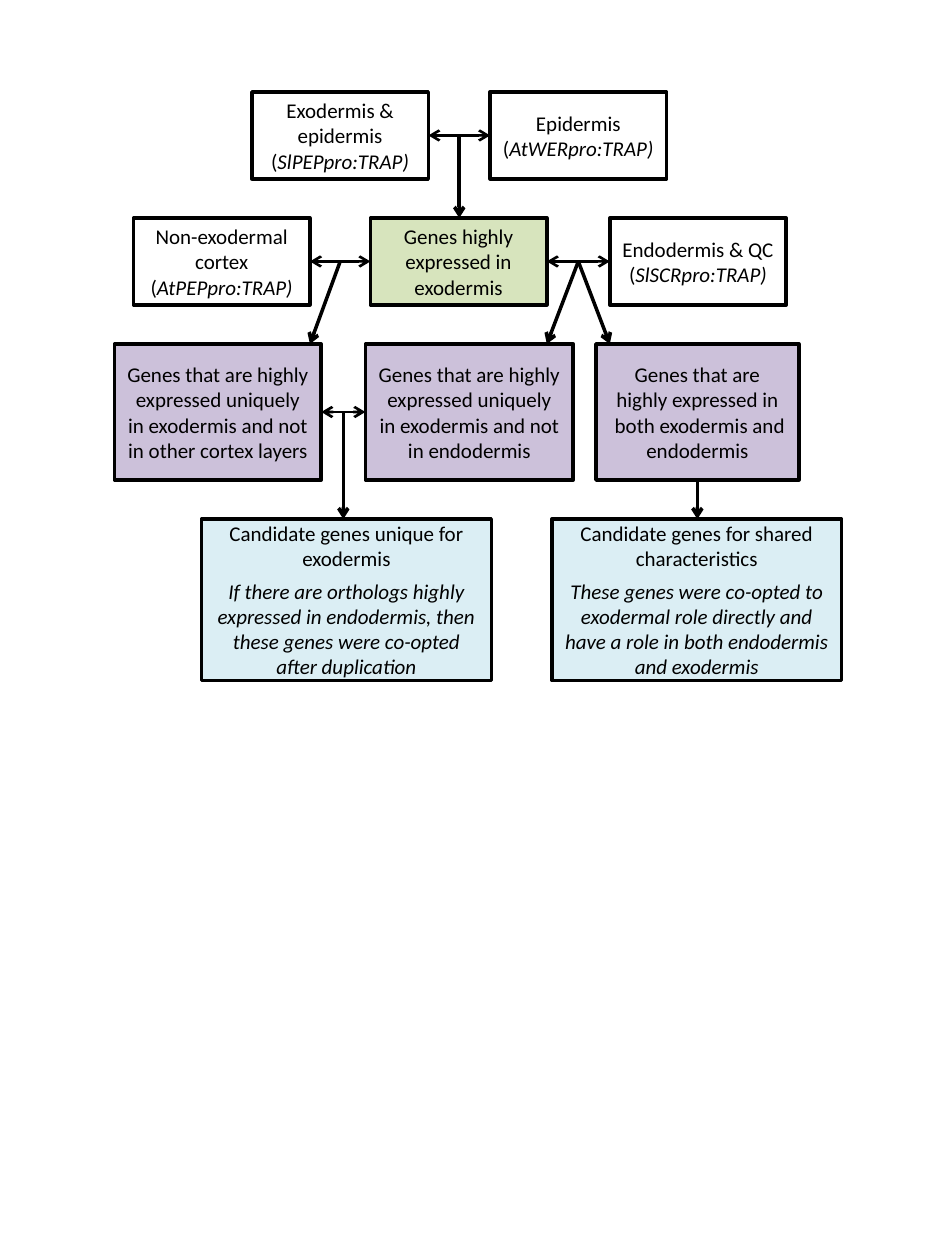
from pptx import Presentation
from pptx.util import Inches, Pt
from pptx.dml.color import RGBColor
from pptx.enum.shapes import MSO_SHAPE, MSO_CONNECTOR
from pptx.enum.text import PP_ALIGN, MSO_ANCHOR
from pptx.oxml.ns import qn
from lxml.etree import SubElement

WHITE, GREEN, PURPLE, BLUE = "FFFFFF", "D7E4BD", "CCC1DA", "DBEEF4"
BLACK = "000000"

# Rows of the flow: top, height
ROWS = [(0.73, 0.69), (1.73, 0.69), (2.73, 1.08), (4.12, 1.28)]

# Boxes: name -> row, left, width, fill, paragraphs (text after * is italic)
BOXES = {
    "exo_epi": (0, 2.0, 1.4, WHITE, ["Exodermis & epidermis", "(*SlPEPpro:TRAP)"]),
    "epi": (0, 3.89, 1.4, WHITE, ["Epidermis (*AtWERpro:TRAP)"]),
    "cortex": (1, 1.06, 1.4, WHITE, ["Non-exodermal cortex", "(*AtPEPpro:TRAP)"]),
    "exo": (1, 2.94, 1.4, GREEN, ["Genes highly expressed in exodermis"]),
    "endo": (1, 4.84, 1.4, WHITE, ["Endodermis & QC", "(*SlSCRpro:TRAP)"]),
    "not_cortex": (2, 0.91, 1.64, PURPLE, [
        "Genes that are highly expressed uniquely in exodermis and not in other cortex layers"]),
    "not_endo": (2, 2.9, 1.65, PURPLE, [
        "Genes that are highly expressed uniquely in exodermis and not in endodermis"]),
    "both": (2, 4.73, 1.61, PURPLE, [
        "Genes that are highly expressed in", " both exodermis and endodermis"]),
    "unique": (3, 1.6, 2.3, BLUE, [
        "Candidate genes unique for exodermis",
        "*If there are orthologs highly expressed in endodermis, then these genes "
        "were co-opted after duplication"]),
    "shared": (3, 4.38, 2.3, BLUE, [
        "Candidate genes for shared characteristics",
        "*These genes were co-opted to exodermal role directly and have a role in "
        "both endodermis and exodermis"]),
}

# Compared pairs: left box, right box, where each result arrow lands (share of the gap)
PAIRS = [
    ("exo_epi", "epi", [0.5]),
    ("cortex", "exo", [0]),
    ("exo", "endo", [0, 1]),
    ("not_cortex", "not_endo", [0.5]),
]

deck = Presentation()
deck.slide_width, deck.slide_height = Inches(7.5), Inches(10)
slide = deck.slides.add_slide(deck.slide_layouts[6])


def color(code):
    return RGBColor.from_string(code)


def write(para, text, size=12, font="Calibri", ink=BLACK, after=0):
    para.alignment = PP_ALIGN.CENTER
    para.space_after = Pt(after)
    for i, part in enumerate(text.split("*")):
        if part:
            run = para.add_run()
            run.text = part
            run.font.size, run.font.name = Pt(size), font
            run.font.italic = i == 1
            run.font.color.rgb = color(ink)


def box(row, left, width, fill, texts):
    top, height = ROWS[row]
    shape = slide.shapes.add_shape(
        MSO_SHAPE.RECTANGLE, *map(Inches, (left, top, width, height)))
    shape.shadow.inherit = False
    shape.fill.solid()
    shape.fill.fore_color.rgb = color(fill)
    shape.line.color.rgb = color(BLACK)
    shape.line.width = Pt(2)
    frame = shape.text_frame
    frame.word_wrap = True
    frame.vertical_anchor = MSO_ANCHOR.MIDDLE
    for i, text in enumerate(texts):
        para = frame.add_paragraph() if i else frame.paragraphs[0]
        write(para, text, after=4 if fill == BLUE and i == 0 else 0)


def arrow(x1, y1, x2, y2, width=2, ends=("tailEnd",)):
    line = slide.shapes.add_connector(
        MSO_CONNECTOR.STRAIGHT, *map(Inches, (x1, y1, x2, y2)))
    line.line.color.rgb = color(BLACK)
    line.line.width = Pt(width)
    for end in ends:
        SubElement(line.line._get_or_add_ln(), qn("a:" + end), type="arrow")
    SubElement(line._element.spPr, qn("a:effectLst"))


# Boxes
for item in BOXES.values():
    box(*item)

# Two-way arrows between pairs, and arrows from their middle to the next row
for a, b, lands in PAIRS:
    row, left, width = BOXES[a][:3]
    start, stop = left + width, BOXES[b][1]
    top, height = ROWS[row]
    mid = top + height / 2
    arrow(start, mid, stop, mid, width=1.5, ends=("headEnd", "tailEnd"))
    for share in lands:
        arrow((start + stop) / 2, mid, start + share * (stop - start), ROWS[row + 1][0])

# Straight arrow to the shared candidates
row, left, width = BOXES["both"][:3]
center = left + width / 2
arrow(center, sum(ROWS[row]), center, ROWS[row + 1][0])

deck.save("out.pptx")
